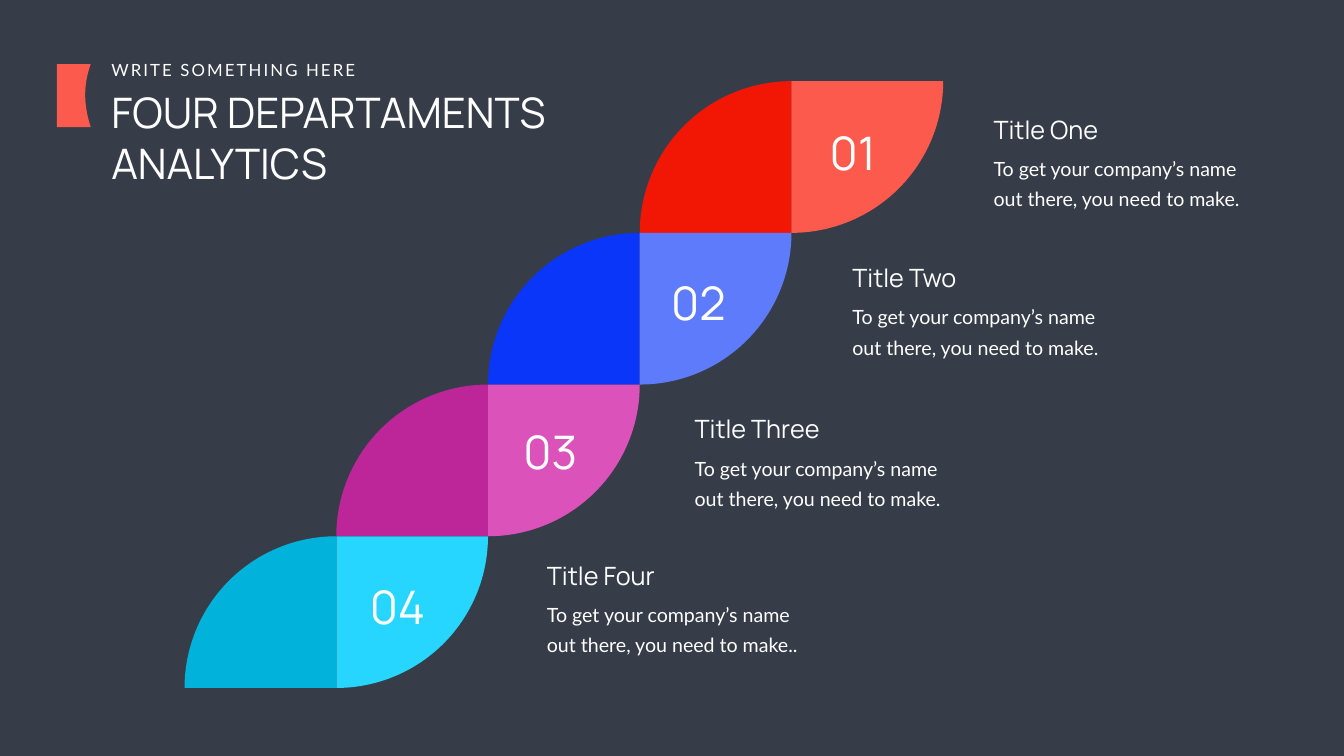
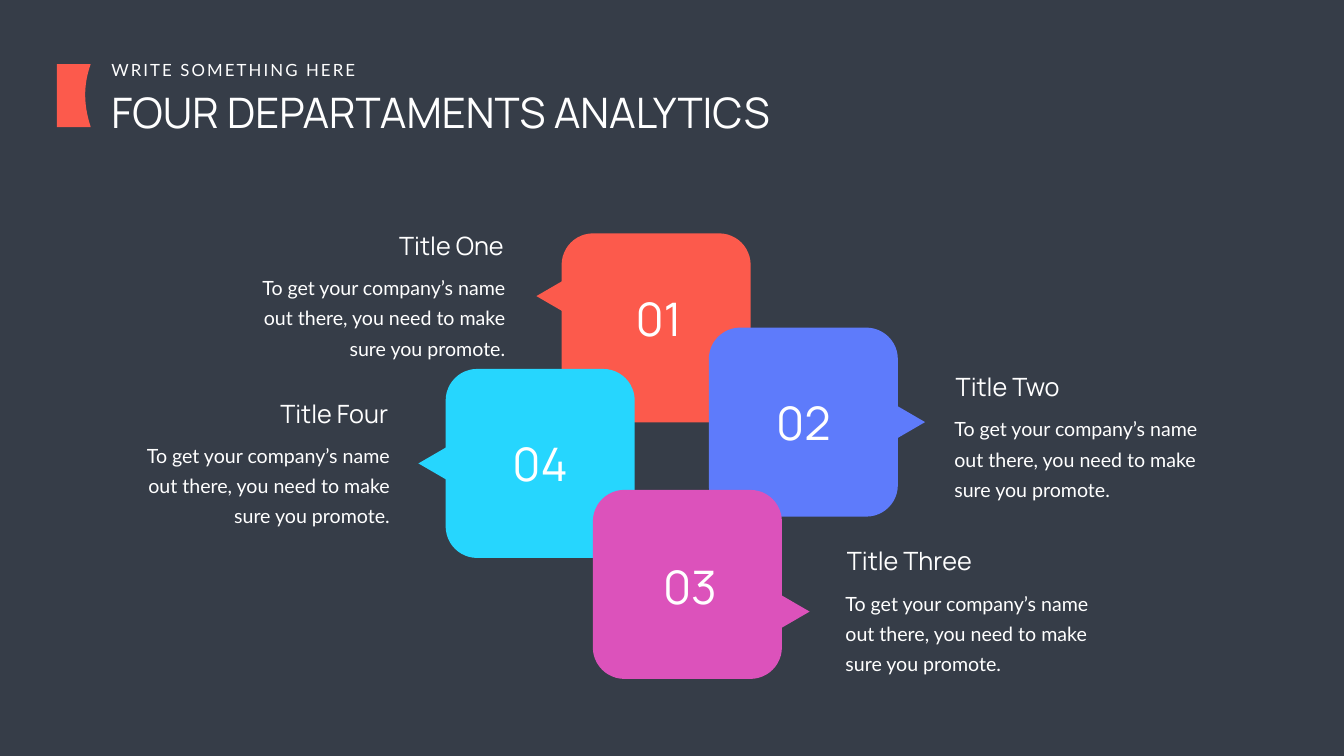
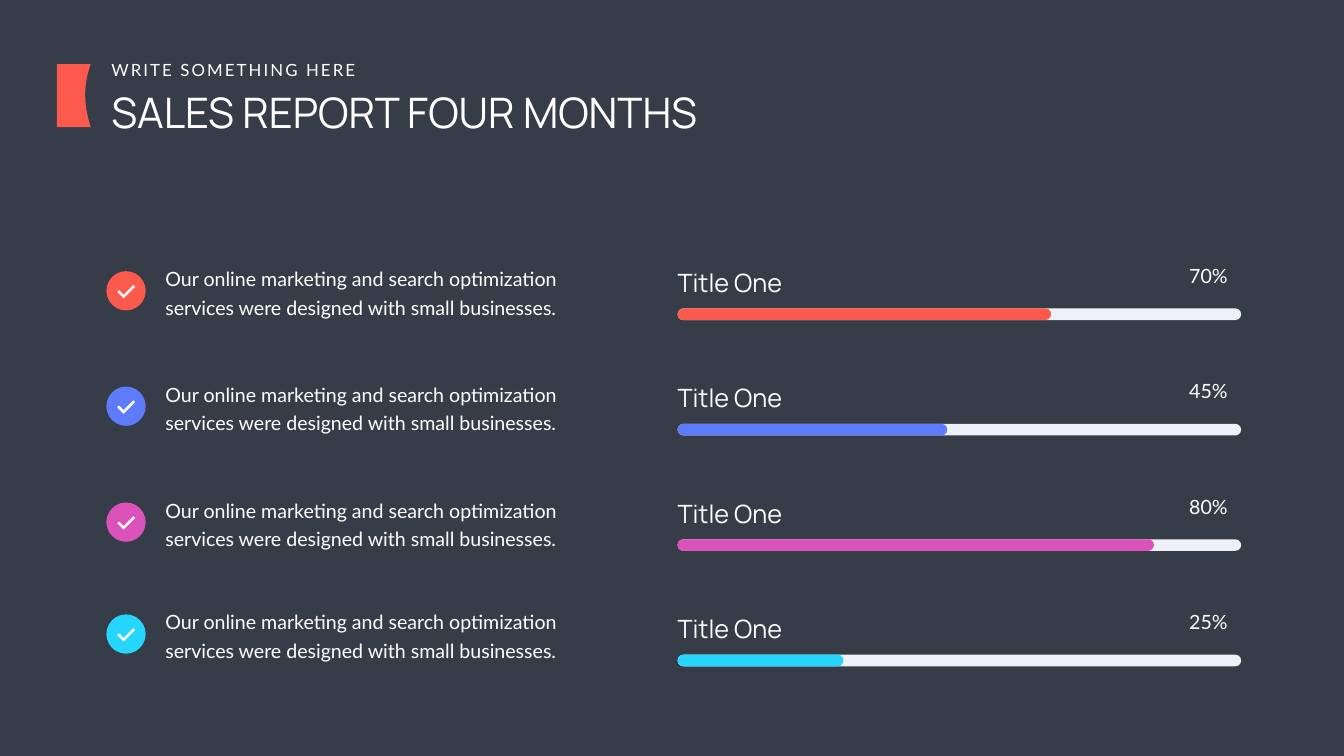
from dataclasses import dataclass

from pptx import Presentation
from pptx.dml.color import RGBColor
from pptx.enum.shapes import MSO_SHAPE
from pptx.enum.text import MSO_AUTO_SIZE, PP_ALIGN
from pptx.util import Emu, Inches, Pt

COLS, ROWS = 26.66, 15


@dataclass(frozen=True)
class Theme:
    """Colours, fonts and type sizes of the deck."""
    bg: str = "363D48"
    white: str = "FFFFFF"
    track: str = "EFF1F8"
    red: str = "FC5A4C"
    blue: str = "5E7BFB"
    pink: str = "DC52BB"
    cyan: str = "26D6FE"
    dark_red: str = "F21704"
    dark_blue: str = "0A36F9"
    dark_pink: str = "BC2698"
    dark_cyan: str = "01B2DA"
    head: str = "Manrope"
    body: str = "Lato"
    title: int = 60
    kicker: int = 24
    number: int = 66
    item: int = 36
    copy: int = 28
    leading: int = 43
    tight: float = 40.8


T = Theme()
COLORS = (T.red, T.blue, T.pink, T.cyan)


class Deck:
    """Holds the style, the grid and the current slide."""

    def __init__(self):
        """Open a presentation whose grid is COLS by ROWS."""
        self.prs = Presentation()
        self.prs.slide_width, self.prs.slide_height = Inches(COLS), Inches(ROWS)
        self.cell = self.prs.slide_height / ROWS
        self.s = None

    def emu(self, *cells):
        """Turn grid lengths into EMU."""
        return [Emu(round(c * self.cell)) for c in cells]

    def slide(self, title, width=14.45, height=1.11):
        """Start a slide with background, title, kicker and tab."""
        self.s = self.prs.slides.add_slide(self.prs.slide_layouts[6])
        fill = self.s.background.fill
        fill.solid()
        fill.fore_color.rgb = RGBColor.from_string(T.bg)
        self.text(title, (2.11, 1.67, width, height), size=T.title, font=T.head)
        self.text("WRITE SOMETHING HERE", (2.11, 1.13, 5.14, 0.5),
                  size=T.kicker, wrap=False, tracking=3)
        self.tab()

    def paint(self, sp, color):
        """Give a shape a plain fill without line or shadow."""
        sp.shadow.inherit = False
        sp.fill.solid()
        sp.fill.fore_color.rgb = RGBColor.from_string(color)
        sp.line.fill.background()

    def shape(self, kind, box, color, rotation=0, adj=None):
        """Draw a filled preset shape."""
        sp = self.s.shapes.add_shape(kind, *self.emu(*box))
        sp.rotation = rotation
        if adj is not None:
            sp.adjustments[0] = adj
        self.paint(sp, color)

    def tab(self, left=1.13, top=1.27, right=1.8, bottom=2.52, steps=16):
        """Draw the title tab with its curved right side."""
        curve = ((right, top), (1.68, 1.61), (1.63, 2), (right, bottom))
        points = []
        for i in range(steps + 1):
            t = i / steps
            weights = ((1 - t) ** 3, 3 * t * (1 - t) ** 2, 3 * t * t * (1 - t), t ** 3)
            points.append(self.emu(*(sum(w * c[axis] for w, c in zip(weights, curve))
                                     for axis in (0, 1))))
        fb = self.s.shapes.build_freeform(*self.emu(left, top), scale=1.0)
        fb.add_line_segments(points + [self.emu(left, bottom)], close=True)
        self.paint(fb.convert_to_shape(), T.red)

    def text(self, text, box, size=T.copy, font=T.body, align=PP_ALIGN.LEFT,
             wrap=True, inset=(0.1, 0.05), spacing=None, tracking=0):
        """Write one paragraph in a box."""
        tf = self.s.shapes.add_textbox(*self.emu(*box)).text_frame
        tf.word_wrap = wrap
        tf.auto_size = MSO_AUTO_SIZE.SHAPE_TO_FIT_TEXT
        tf.margin_left, tf.margin_top = self.emu(*inset)
        tf.margin_right, tf.margin_bottom = self.emu(*inset)
        p = tf.paragraphs[0]
        p.alignment = align
        if spacing:
            p.line_spacing = spacing
        r = p.add_run()
        r.text = text
        r.font.size, r.font.name = Pt(size), font
        r.font.color.rgb = RGBColor.from_string(T.white)
        if tracking:
            r.font._element.set("spc", str(tracking * 100))

    def number(self, n, x, y, width):
        """Write a two-digit number."""
        self.text(f"{n:02}", (x, y, width, 1.21), size=T.number, font=T.head,
                  align=PP_ALIGN.CENTER)

    def heading(self, text, x, y, width, align=PP_ALIGN.LEFT):
        """Write the title of an item."""
        self.text(text, (x, y, width, 0.71), size=T.item, font=T.head,
                  align=align, wrap=False)

    def bar(self, x, y, width, color):
        """Draw a bar with round ends."""
        self.shape(MSO_SHAPE.ROUNDED_RECTANGLE, (x, y, width, 0.23), color, adj=0.5)

    def check(self, x, y, color):
        """Draw a round check mark."""
        self.shape(MSO_SHAPE.OVAL, (x, y, 0.78, 0.78), color)
        self.shape(MSO_SHAPE.RECTANGLE, (x + 0.21, y + 0.43, 0.17, 0.05), T.white, 45)
        self.shape(MSO_SHAPE.RECTANGLE, (x + 0.28, y + 0.38, 0.32, 0.05), T.white, 315)


def leaves(d):
    """Build the staircase of four leaves."""
    d.slide("FOUR DEPARTAMENTS ANALYTICS", 9.13, 2.12)
    size = 3.01
    darks = (T.dark_red, T.dark_blue, T.dark_pink, T.dark_cyan)
    for i, (dark, light) in enumerate(zip(darks, COLORS)):
        x, y = 12.69 - i * size, 1.61 + i * size
        d.shape(MSO_SHAPE.PIE_WEDGE, (x, y, size, size), dark)
        d.shape(MSO_SHAPE.PIE_WEDGE, (x + size, y, size, size), light, 180)
    items = (
        ("Title One", 2.42, ".", (15.65, 2.42), (19.61, 2.21)),
        ("Title Two", 2.41, ".", (12.59, 5.39), (16.81, 5.16)),
        ("Title Three", 2.81, ".", (9.65, 8.35), (13.68, 8.16)),
        ("Title Four", 2.49, "..", (6.62, 11.42), (10.75, 11.07)),
    )
    for n, (title, width, end, num, (x, y)) in enumerate(items, 1):
        d.number(n, *num, 2.53)
        d.heading(title, x, y, width)
        d.text("To get your company’s name out there, you need to make" + end,
               (x, y + 0.72, 5.48, 1.24), spacing=Pt(T.leading))


def bubbles(d):
    """Build the four overlapping speech bubbles."""
    d.slide("FOUR DEPARTAMENTS ANALYTICS")
    size, body_width, indent = 3.75, 5.52, 0.17
    items = (
        (1, "Title One", 2.42, (11.14, 4.63), (-0.56, 0.87), (12.07, 5.71), (4.74, 4.52)),
        (2, "Title Two", 2.41, (14.06, 6.5), (3.48, 1.5), (14.94, 7.77), (18.69, 7.32)),
        (4, "Title Four", 2.49, (8.84, 7.32), (-0.6, 1.5), (9.72, 8.58), (2.45, 7.85)),
        (3, "Title Three", 2.81, (11.76, 9.72), (3.49, 2.04), (12.69, 11.03), (16.53, 10.78)),
    )
    for n, title, width, (x, y), (dx, dy), num, (tx, ty) in items:
        color, left = COLORS[n - 1], dx < 0
        align = PP_ALIGN.RIGHT if left else PP_ALIGN.LEFT
        d.shape(MSO_SHAPE.ROUNDED_RECTANGLE, (x, y, size, size), color)
        d.shape(MSO_SHAPE.ISOSCELES_TRIANGLE, (x + dx, y + dy, 0.87, 0.75), color,
                270 if left else 90)
        d.number(n, *num, 1.99)
        head_x = tx + body_width - indent - width if left else tx + indent
        d.heading(title, head_x, ty, width, align)
        d.text("To get your company’s name out there, you need to make sure you promote.",
               (tx, ty + 0.71, body_width, 1.99), align=align, inset=(0.24, 0.12),
               spacing=Pt(T.leading))


def report(d):
    """Build the checklist and the progress bars."""
    d.slide("SALES REPORT FOUR MONTHS")
    inset = (0.27, 0.13)
    rows = (("70%", 7.41, 5.08), ("45%", 5.35, 7.37), ("80%", 9.45, 9.67), ("25%", 3.29, 11.89))
    for i, (share, done, y) in enumerate(rows):
        top = 4.87 + i * 2.29
        d.bar(13.44, top + 1.25, 11.18, T.track)
        d.bar(13.44, top + 1.25, done, COLORS[i])
        d.text("Title One", (13.17, top, 4.96, 1.1), size=T.item, font=T.head,
               inset=inset, spacing=1.5)
        d.text(share, (23.32, top, 1.68, 0.88), inset=inset, spacing=1.5)
        d.text("Our online marketing and search optimization services were designed "
               "with small businesses.", (3.04, y, 8.41, 1.33), inset=(0.24, 0.12),
               spacing=Pt(T.tight))
        d.check(2.11, y + 0.3, COLORS[i])


def main():
    """Build and save the deck."""
    d = Deck()
    for build in (leaves, bubbles, report):
        build(d)
    d.prs.save("out.pptx")


if __name__ == "__main__":
    main()
